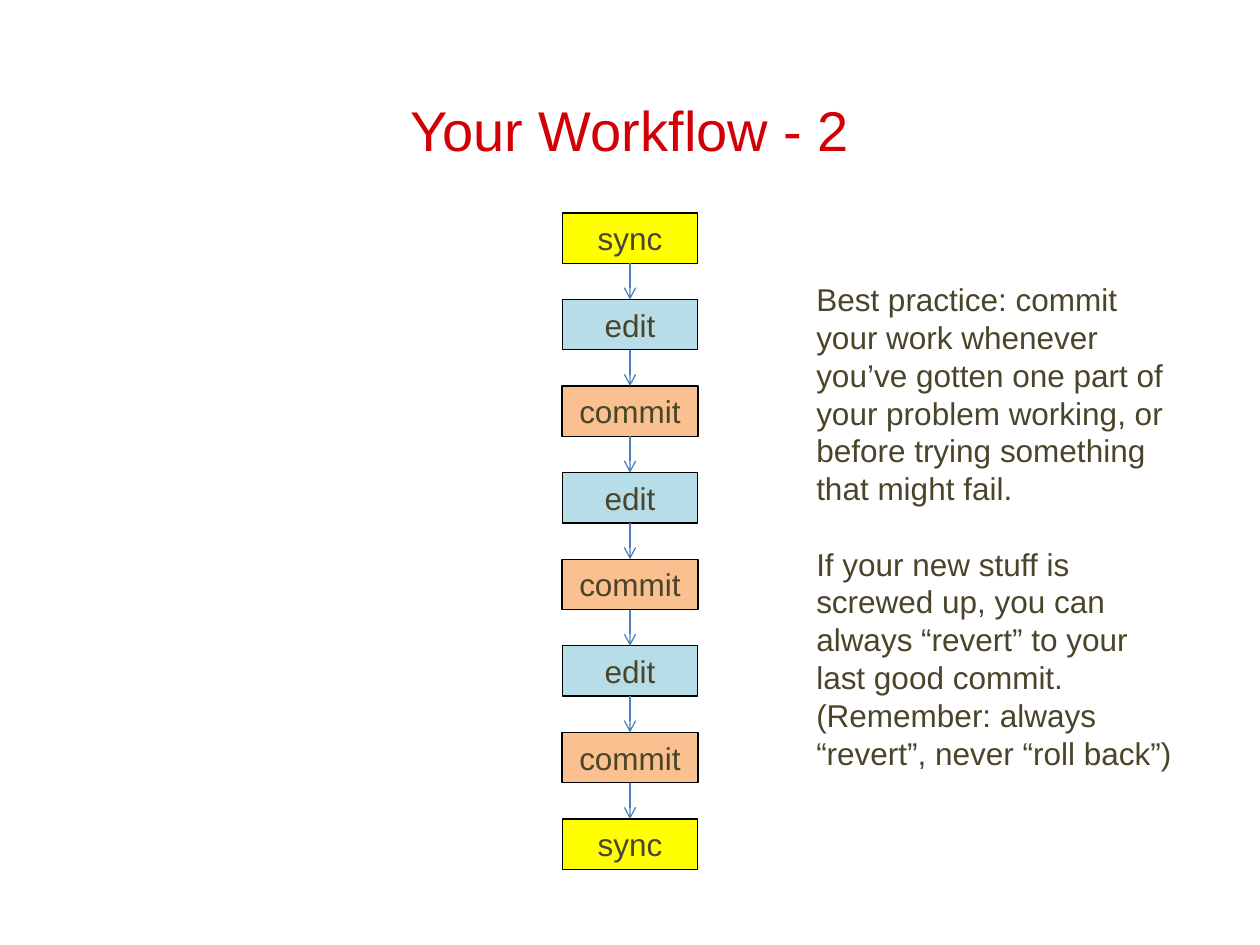
from itertools import pairwise

from pptx import Presentation
from pptx.dml.color import RGBColor
from pptx.enum.shapes import MSO_CONNECTOR, MSO_SHAPE
from pptx.enum.text import MSO_ANCHOR, MSO_AUTO_SIZE, PP_ALIGN
from pptx.oxml.ns import qn
from pptx.util import Inches, Pt
from lxml import etree

RECT = MSO_SHAPE.RECTANGLE
STRAIGHT = MSO_CONNECTOR.STRAIGHT
MIDDLE, TOP = MSO_ANCHOR.MIDDLE, MSO_ANCHOR.TOP
CENTER, LEFT = PP_ALIGN.CENTER, PP_ALIGN.LEFT
GROW = MSO_AUTO_SIZE.SHAPE_TO_FIT_TEXT

RED = RGBColor(0xD1, 0x00, 0x06)
BROWN = RGBColor(0x4A, 0x45, 0x2A)
BLACK = RGBColor(0x00, 0x00, 0x00)
BLUE = RGBColor(0x4B, 0x7E, 0xBC)
YELLOW = RGBColor(0xFF, 0xFF, 0x00)
AQUA = RGBColor(0xB7, 0xDE, 0xE8)
ORANGE = RGBColor(0xFA, 0xC0, 0x90)
FONT = "Arial"

# Slide and the column of steps, in inches
WIDE, HIGH = 10, 7.5
FIRST, LAST = 1.69, 6.5
BOX_H = 0.4

# Fill and width of each kind of step
KINDS = {"sync": (YELLOW, 1.07), "edit": (AQUA, 1.07), "commit": (ORANGE, 1.08)}
STEPS = ["sync"] + ["edit", "commit"] * 3 + ["sync"]

# Each paragraph with the space after it, in points
NOTES = [
    ("Best practice: commit your work whenever you’ve gotten one part of "
     "your problem working, or before trying something that might fail.", 21.5),
    ("If your new stuff is screwed up, you can always “revert” to your "
     "last good commit.", 0),
    ("(Remember: always “revert”, never “roll back”)", 0),
]


def add_run(para, text, size, color, align):
    para.alignment = align
    run = para.add_run()
    run.text = text
    run.font.name = FONT
    run.font.size = Pt(size)
    run.font.color.rgb = color


def add_text(slide, left, top, width, height, anchor):
    box = slide.shapes.add_textbox(
        Inches(left), Inches(top), Inches(width), Inches(height))
    frame = box.text_frame
    frame.word_wrap = True
    frame.vertical_anchor = anchor
    return frame


def add_step(slide, kind, top):
    fill, width = KINDS[kind]
    box = slide.shapes.add_shape(
        RECT, Inches((WIDE - width) / 2), Inches(top),
        Inches(width), Inches(BOX_H))
    box.shadow.inherit = False
    box.fill.solid()
    box.fill.fore_color.rgb = fill
    box.line.color.rgb = BLACK
    box.line.width = Pt(0.75)
    frame = box.text_frame
    frame.word_wrap = False
    frame.auto_size = GROW
    frame.vertical_anchor = TOP
    add_run(frame.paragraphs[0], kind, 18, BROWN, CENTER)
    return box


def add_arrow(slide, start, end):
    mid = Inches(WIDE / 2)
    link = slide.shapes.add_connector(
        STRAIGHT, mid, start.top + start.height, mid, end.top)
    link.begin_connect(start, 2)
    link.end_connect(end, 0)
    link.line.color.rgb = BLUE
    link.line.width = Pt(0.75)
    props = link._element.spPr
    etree.SubElement(props.find(qn("a:ln")), qn("a:tailEnd"), type="arrow")
    etree.SubElement(props, qn("a:effectLst"))


def main():
    deck = Presentation()
    deck.slide_width, deck.slide_height = Inches(WIDE), Inches(HIGH)
    slide = deck.slides.add_slide(deck.slide_layouts[6])

    # Title
    title = add_text(slide, 0.05 * WIDE, 0.5, 0.9 * WIDE, 0.14 * HIGH, MIDDLE)
    add_run(title.paragraphs[0], "Your Workflow - 2", 32, RED, CENTER)

    # Steps, evenly spaced, with an arrow between neighbours
    pitch = (LAST - FIRST) / (len(STEPS) - 1)
    boxes = [add_step(slide, kind, FIRST + i * pitch)
             for i, kind in enumerate(STEPS)]
    for start, end in pairwise(boxes):
        add_arrow(slide, start, end)

    # Advice on the right
    notes = add_text(slide, 6.38, 0.29 * HIGH, 3.08, 4.34, TOP)
    notes.auto_size = GROW
    for i, (text, gap) in enumerate(NOTES):
        para = notes.add_paragraph() if i else notes.paragraphs[0]
        para.space_after = Pt(gap)
        add_run(para, text, 18, BROWN, LEFT)

    deck.save("out.pptx")


if __name__ == "__main__":
    main()
